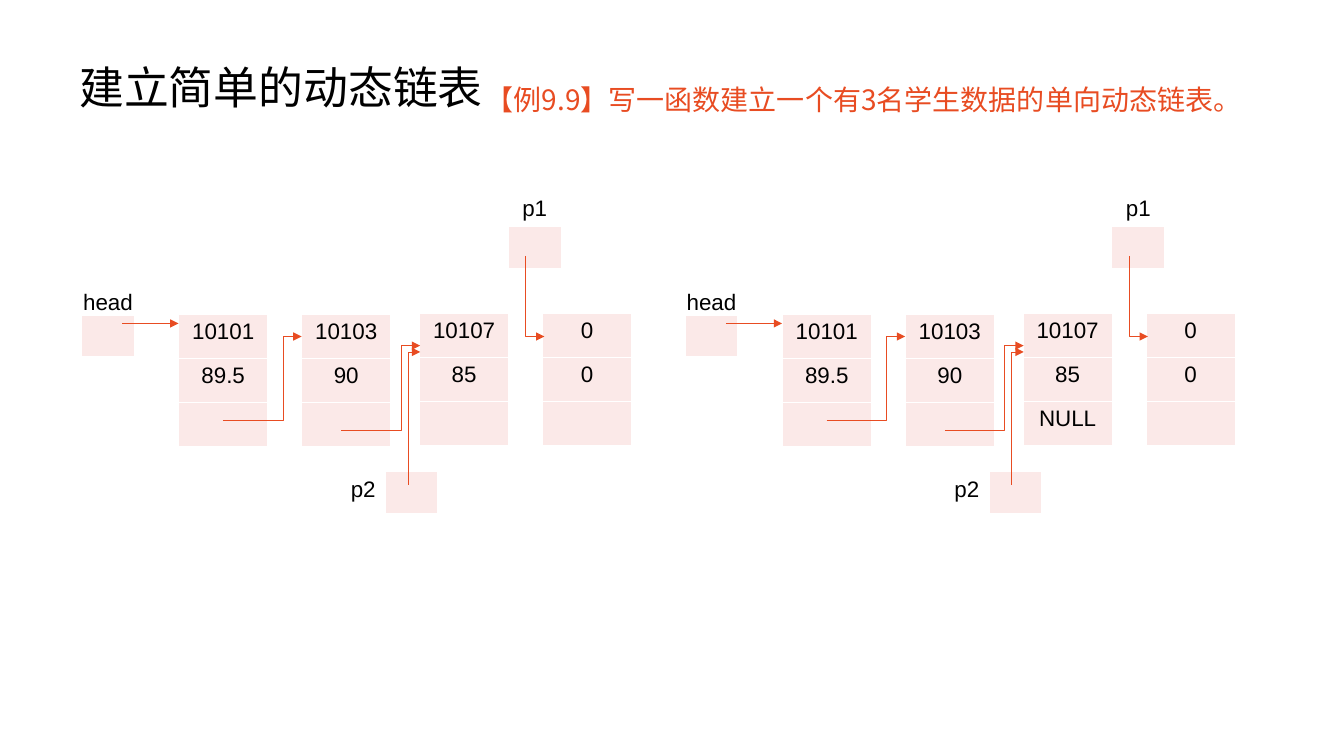
"""Build a slide that shows two steps in making a linked list."""
from lxml import etree
from pptx import Presentation
from pptx import util as u
from pptx.dml.color import RGBColor
from pptx.enum import shapes, text
from pptx.oxml.ns import qn

Cm = u.Cm
HUES = {"ink": "000000", "box": "FBE9E8", "edge": "FFFFFF", "mark": "E84C22"}
SANS, HAN = "Arial", "Noto Sans CJK SC"
ALIGN, ANCHOR = text.PP_ALIGN, text.MSO_ANCHOR
HEADS = [("10101", "89.5"), ("10103", "90")]
TAIL = ("0", "0", "")
STEPS = [(2.06, HEADS + [("10107", "85", ""), TAIL]),
         (17.27, HEADS + [("10107", "85", "NULL"), TAIL])]
SPOTS = [(2.44, 3.25), (5.54, 3.25), (8.51, 3.22), (11.61, 3.22)]
LINKS = [
    [(1.02, 3.48), (2.44, 3.48)],
    [(3.56, 5.93), (5.08, 5.93), (5.08, 3.81), (5.54, 3.81)],
    [(8.23, 7.54), (8.23, 4.2), (8.53, 4.2)],
    [(6.54, 6.17), (8.05, 6.17), (8.05, 4.04), (8.53, 4.04)],
    [(11.18, 1.78), (11.18, 3.81), (11.66, 3.81)],
]


def hue(name):
    return RGBColor.from_string(HUES[name])


def style(para, font, size, tint):
    para.font.name, para.font.size = font, u.Pt(size)
    para.font.color.rgb = hue(tint)
    if font == HAN:
        props = para._p.pPr.find(qn("a:defRPr"))
        etree.SubElement(props, qn("a:ea")).set("typeface", font)


def edge(cell, sides):
    props = cell._tc.get_or_add_tcPr()
    for side in sides:
        line = etree.SubElement(props, qn("a:ln" + side), w=str(u.Pt(1)))
        fill = etree.SubElement(line, qn("a:solidFill"))
        etree.SubElement(fill, qn("a:srgbClr")).set("val", HUES["edge"])


def grid(slide, x, y, wides, highs, words, full, sides,
         align=ALIGN.CENTER, anchor=ANCHOR.TOP, inset=None):
    """Place a table whose cells at the (row, column) pairs in full are tinted."""
    frame = slide.shapes.add_table(len(highs), len(wides), Cm(x), Cm(y),
                                   Cm(sum(wides)), Cm(sum(highs)))
    table = frame.table
    table.first_row = table.horz_banding = False
    for col, wide in zip(table.columns, wides):
        col.width = Cm(wide)
    for row, high in zip(table.rows, highs):
        row.height = Cm(high)
    for r in range(len(highs)):
        for c in range(len(wides)):
            cell = table.cell(r, c)
            if (r, c) in full:
                edge(cell, sides)
                cell.fill.solid()
                cell.fill.fore_color.rgb = hue("box")
            else:
                cell.fill.background()
            word = words.get((r, c))
            if word:
                cell.text = word
                cell.vertical_anchor = anchor
                if inset is not None:
                    cell.margin_left = cell.margin_right = inset
                    cell.margin_top = cell.margin_bottom = inset
                para = cell.text_frame.paragraphs[0]
                para.alignment = align
                style(para, SANS, 16, "ink")


def node(slide, x, y, words):
    """Place one list node of three stacked cells."""
    spots = [(r, 0) for r in range(3)]
    grid(slide, x, y, [2.25], [1.11] * 3, dict(zip(spots, words)), spots, "LTB")


def arrow(slide, x, y, stops):
    """Draw an arrow through the stops, given from the corner x, y."""
    ends = [(Cm(x + a), Cm(y + b)) for a, b in stops]
    if len(ends) == 2:
        shape = slide.shapes.add_connector(shapes.MSO_CONNECTOR.STRAIGHT,
                                           *ends[0], *ends[1])
    else:
        form = slide.shapes.build_freeform(*ends[0])
        form.add_line_segments(ends[1:], close=False)
        shape = form.convert_to_shape()
        shape.fill.background()
    shape.line.color.rgb = hue("mark")
    shape.line.width = u.Pt(0.5)
    props = shape._element.spPr
    etree.SubElement(props.find(qn("a:ln")), qn("a:tailEnd"), type="triangle")
    etree.SubElement(props, qn("a:effectLst"))


def panel(slide, x, y, nodes):
    """Draw one step of the list with its pointers."""
    for (a, b), words in zip(SPOTS, nodes):
        node(slide, x + a, y + b, words)
    grid(slide, x, y + 2.22, [1.32], [1.05, 1.05, 0.2, 1.05, 0.2, 1.05],
         {(0, 0): "head"}, [(1, 0)], "R", anchor=ANCHOR.BOTTOM, inset=0)
    grid(slide, x + 10.74, y, [1.35], [1.04, 1.06], {(0, 0): "p1"},
         [(1, 0)], "LRB", anchor=ANCHOR.BOTTOM)
    grid(slide, x + 6.27, y + 7.22, [1.39, 1.31], [1.06], {(0, 0): "p2"},
         [(0, 1)], "RB", align=ALIGN.RIGHT)
    for stops in LINKS:
        arrow(slide, x, y, stops)


def label(slide, box, words, size, tint, space, anchor, hang=0):
    """Place a wrapped line of heading text in the box."""
    frame = slide.shapes.add_textbox(*map(Cm, box)).text_frame
    frame.word_wrap, frame.vertical_anchor = True, anchor
    para = frame.paragraphs[0]
    para.text, para.line_spacing = words, space
    if hang:
        props = para._p.get_or_add_pPr()
        props.set("marL", str(Cm(hang)))
        props.set("indent", str(-Cm(hang)))
        props.set("hangingPunct", "0")
    style(para, HAN, size, tint)


def main():
    deck = Presentation()
    deck.slide_width, deck.slide_height = Cm(33.87), Cm(19.05)
    slide = deck.slides.add_slide(deck.slide_layouts[6])
    label(slide, (1.75, 0.94, 29.21, 2.64), "建立简单的动态链表",
          32, "ink", 0.9, ANCHOR.MIDDLE)
    label(slide, (11.99, 1.95, 19.79, 1.55),
          "【例9.9】写一函数建立一个有3名学生数据的单向动态链表。",
          20, "mark", 1.0, ANCHOR.TOP, hang=0.25)
    for x, nodes in STEPS:
        panel(slide, x, 4.67, nodes)
    deck.save("out.pptx")


if __name__ == "__main__":
    main()
